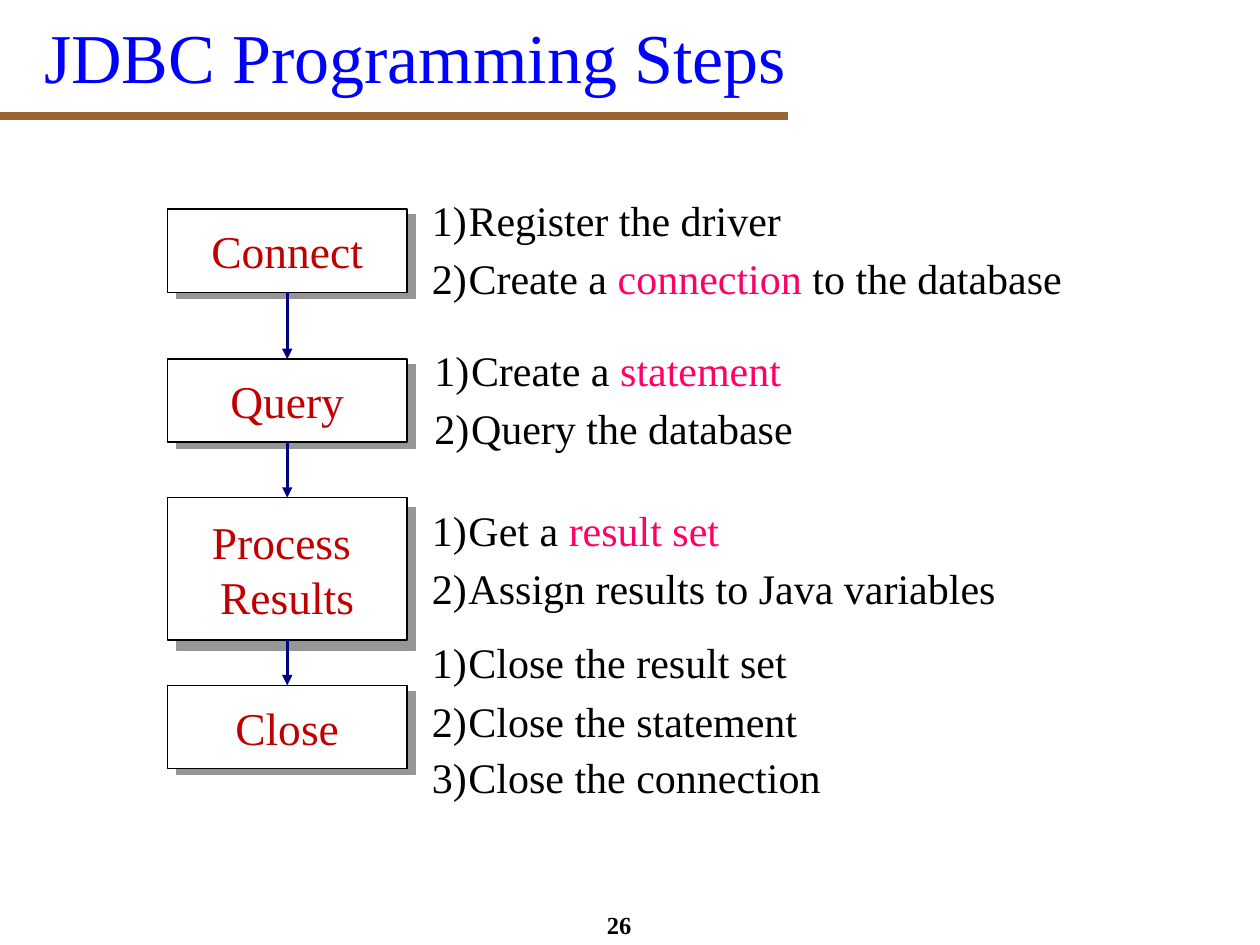
from itertools import pairwise

from lxml import etree
from pptx import Presentation
from pptx.dml.color import RGBColor
from pptx.enum.shapes import MSO_CONNECTOR, MSO_SHAPE
from pptx.enum.text import MSO_ANCHOR, PP_ALIGN
from pptx.oxml.ns import qn
from pptx.util import Inches, Pt

RECT = MSO_SHAPE.RECTANGLE
STRAIGHT = MSO_CONNECTOR.STRAIGHT
MIDDLE = MSO_ANCHOR.MIDDLE
LEFT, CENTER = PP_ALIGN.LEFT, PP_ALIGN.CENTER
BOTTOM_SITE, TOP_SITE = 2, 0

FONT = "Times New Roman"
BLACK, WHITE, GRAY = "000000", "FFFFFF", "969696"
BLUE, NAVY, BROWN, RED, PINK = "0000FF", "000080", "996633", "C00000", "FF0066"

BOX_LEFT, BOX_WIDTH = 1.33, 1.9
# Box lines, box top and height, list box, list items as (text, colour) runs
STEPS = [
    (["Connect"], 1.66, 0.66, (3.33, 1.57, 5.58, 0.87), [
        [("Register the driver", BLACK)],
        [("Create a ", BLACK), ("connection", PINK), (" to the database", BLACK)],
    ]),
    (["Query"], 2.85, 0.66, (3.35, 2.76, 4.73, 0.87), [
        [("Create a ", BLACK), ("statement", PINK)],
        [("Query the database", BLACK)],
    ]),
    (["Process ", "Results"], 3.95, 1.13, (3.33, 4.03, 5, 0.87), [
        [("Get a ", BLACK), ("result set", PINK)],
        [("Assign results to Java variables", BLACK)],
    ]),
    (["Close"], 5.44, 0.66, (3.33, 5.08, 4.44, 1.32), [
        [("Close the result set", BLACK)],
        [("Close the statement", BLACK)],
        [("Close the connection", BLACK)],
    ]),
]


def rgb(color):
    return RGBColor.from_string(color)


def inches(box):
    return [Inches(v) for v in box]


def add_run(p, text, size, color, bold=False):
    r = p.add_run()
    r.text = text
    r.font.name = FONT
    r.font.size = Pt(size)
    r.font.bold = bold
    r.font.color.rgb = rgb(color)


def add_paragraph(tf, index):
    return tf.add_paragraph() if index else tf.paragraphs[0]


def add_line(s, start, end, color, width):
    line = s.shapes.add_connector(STRAIGHT, *inches(start), *inches(end))
    line.line.color.rgb = rgb(color)
    line.line.width = Pt(width)
    etree.SubElement(line._element.spPr, qn("a:effectLst"))
    return line


def add_title(s, box, text):
    sp = s.shapes.title
    sp.left, sp.top, sp.width, sp.height = inches(box)
    tf = sp.text_frame
    tf.vertical_anchor = MIDDLE
    p = tf.paragraphs[0]
    p.alignment = LEFT
    add_run(p, text, 40, BLUE)


def add_page_number(s, box, text):
    tf = s.shapes.add_textbox(*inches(box)).text_frame
    tf.word_wrap = True
    p = tf.paragraphs[0]
    p.alignment = CENTER
    add_run(p, text, 14, BLACK, bold=True)


def add_rect(shapes, box, fill, line):
    sp = shapes.add_shape(RECT, *inches(box))
    sp.shadow.inherit = False
    sp.fill.solid()
    sp.fill.fore_color.rgb = rgb(fill)
    sp.line.color.rgb = rgb(line)
    sp.line.width = Pt(0.75)
    return sp


def add_step_box(s, box, lines):
    """Group a white box with the gray one behind it; return the white box."""
    left, top, width, height = box
    group = s.shapes.add_group_shape()
    back = (left + 0.07, top + 0.07 * height, width, height)
    add_rect(group.shapes, back, GRAY, GRAY)
    sp = add_rect(group.shapes, box, WHITE, BLACK)
    tf = sp.text_frame
    tf.word_wrap = False
    tf.vertical_anchor = MIDDLE
    for i, text in enumerate(lines):
        p = add_paragraph(tf, i)
        p.alignment = CENTER
        add_run(p, text, 26, RED)
    return sp


def add_arrow(s, upper, lower):
    line = add_line(s, (0, 0), (0, 0), NAVY, 1.5)
    line.begin_connect(upper, BOTTOM_SITE)
    line.end_connect(lower, TOP_SITE)
    etree.SubElement(line.line._get_or_add_ln(), qn("a:tailEnd"), type="triangle")


def number_paragraph(p):
    pPr = p._p.get_or_add_pPr()
    pPr.set("marL", str(Inches(0.29)))
    pPr.set("indent", str(-Inches(0.29)))
    color = etree.SubElement(pPr, qn("a:buClr"))
    etree.SubElement(color, qn("a:srgbClr"), val=BLACK)
    etree.SubElement(pPr, qn("a:buFont"), typeface=FONT)
    etree.SubElement(pPr, qn("a:buAutoNum"), type="arabicParenR")


def add_numbered_list(s, box, items):
    tf = s.shapes.add_textbox(*inches(box)).text_frame
    tf.word_wrap = True
    for i, runs in enumerate(items):
        p = add_paragraph(tf, i)
        p.line_spacing = 0.6 if i else 0.8
        p.space_before = Pt(15)
        number_paragraph(p)
        for text, color in runs:
            add_run(p, text, 24, color)


def main():
    prs = Presentation()
    prs.slide_width, prs.slide_height = Inches(10), Inches(7.5)
    s = prs.slides.add_slide(prs.slide_layouts[5])

    # Heading and page number
    add_line(s, (0, 0.92), (6.25, 0.92), BROWN, 4.5)
    add_title(s, (0.25, -0.02, 9.5, 0.92), "JDBC Programming Steps")
    add_page_number(s, (4.58, 7.17, 0.67, 0.33), "26")

    # Flow of steps
    boxes = [add_step_box(s, (BOX_LEFT, top, BOX_WIDTH, height), lines)
             for lines, top, height, _, _ in STEPS]
    for upper, lower in pairwise(boxes):
        add_arrow(s, upper, lower)

    # Details beside each step
    for _, _, _, box, items in STEPS:
        add_numbered_list(s, box, items)

    prs.save("out.pptx")


if __name__ == "__main__":
    main()
